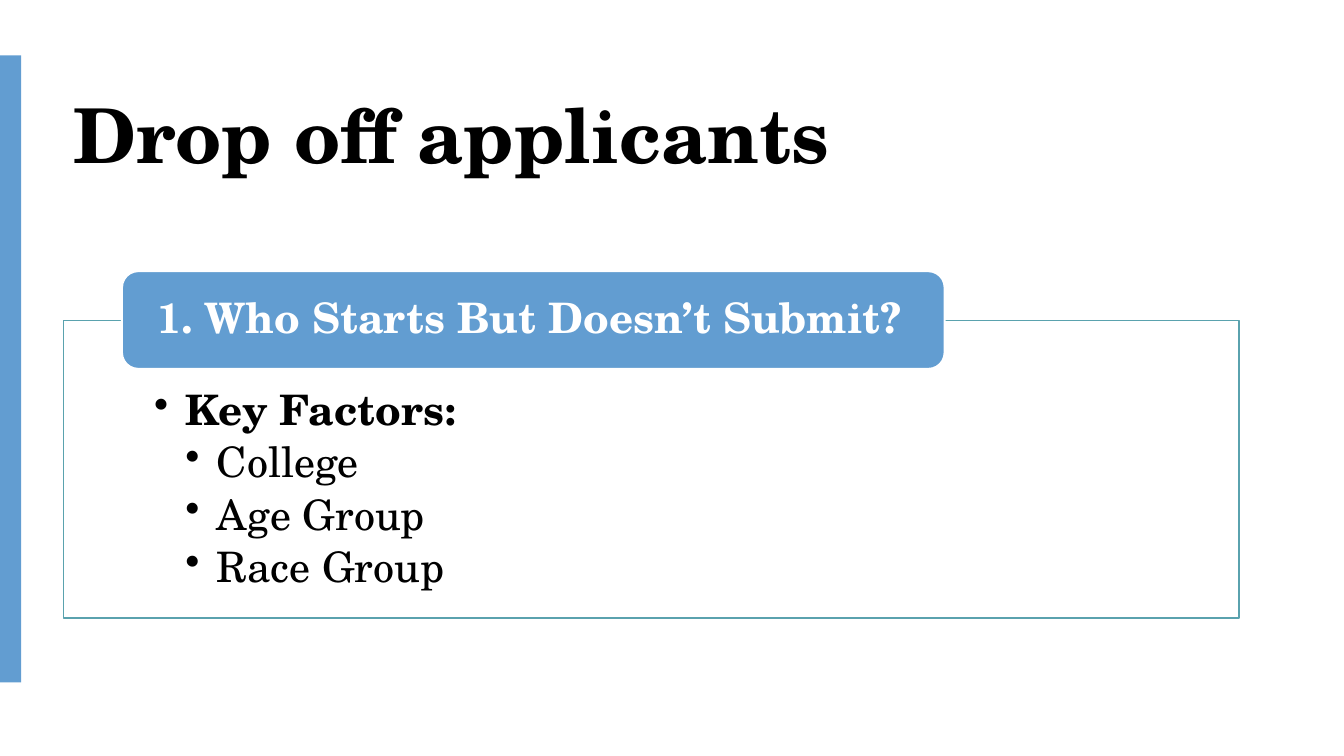
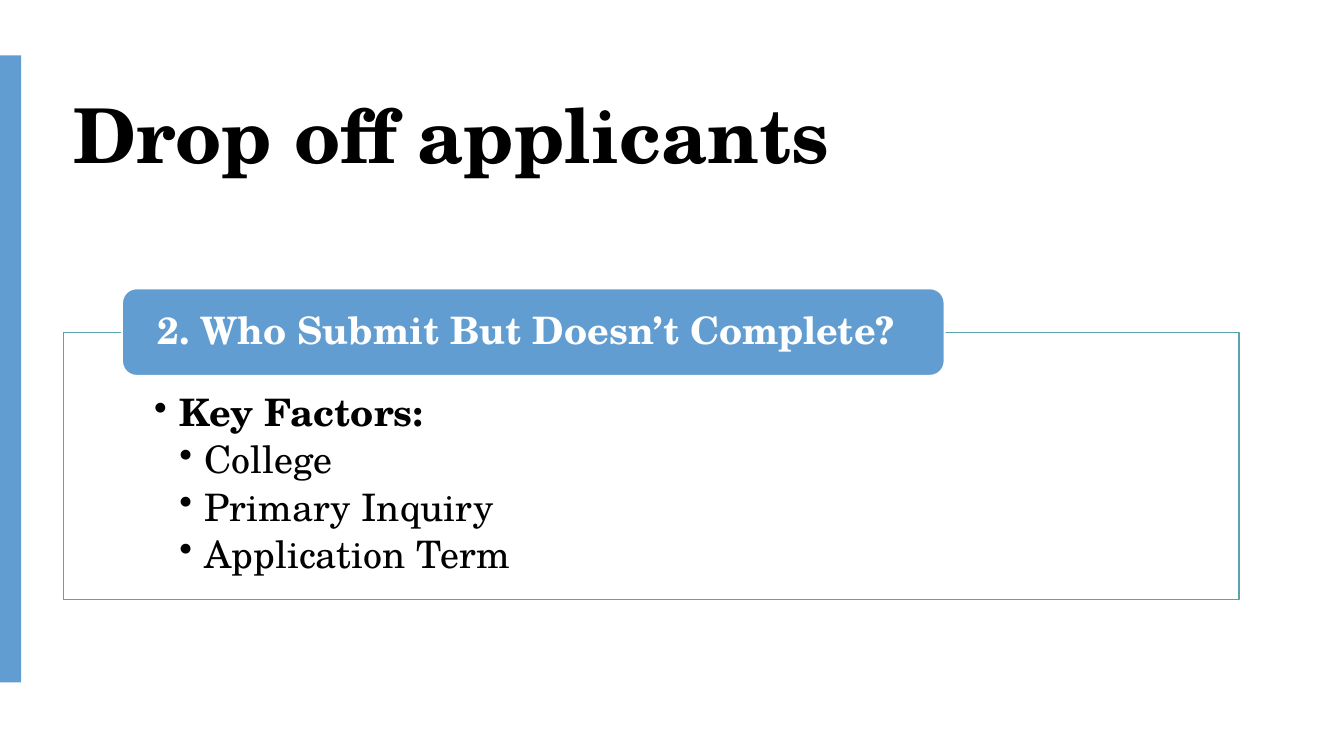
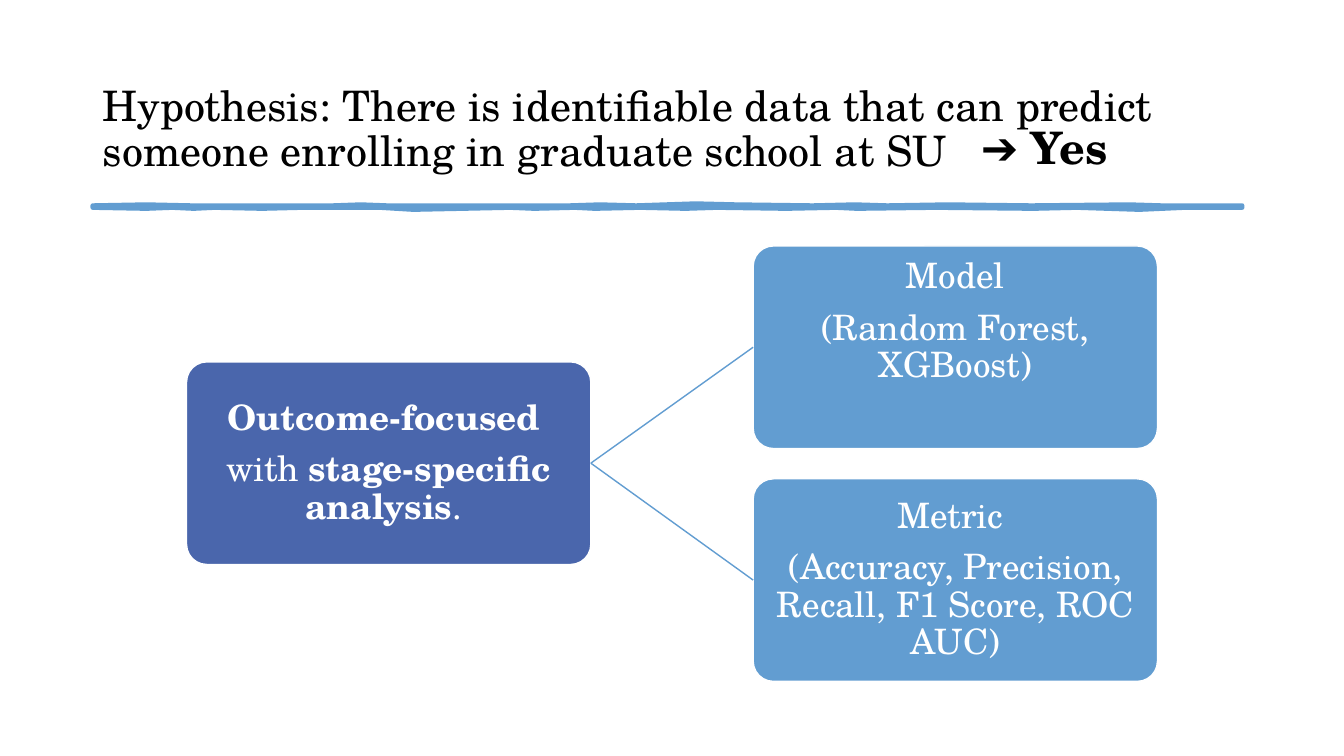
from dataclasses import dataclass

from lxml.etree import SubElement
from pptx import Presentation
from pptx.dml.color import RGBColor as RGB
from pptx.enum.shapes import MSO_CONNECTOR as CONN, MSO_SHAPE as SHAPE
from pptx.enum.text import MSO_ANCHOR as ANCHOR, PP_ALIGN as ALIGN
from pptx.oxml.ns import qn
from pptx.util import Emu, Pt

PX = 9144  # EMU per px, 100 px to the inch


@dataclass(frozen=True)
class Theme:
    font: str = "TeX Gyre Schola"
    black: RGB = RGB(0x00, 0x00, 0x00)
    white: RGB = RGB(0xFF, 0xFF, 0xFF)
    sky: RGB = RGB(0x62, 0x9D, 0xD1)
    indigo: RGB = RGB(0x4A, 0x66, 0xAC)
    teal: RGB = RGB(0x5A, 0xA2, 0xAE)
    title: int = 54
    answer: int = 32
    statement: int = 30
    node: int = 25
    line_spacing: float = 0.9
    gap_factor: float = 1.1  # line height used for proportional gaps


def px(n):
    return Emu(n * PX)


class Deck:
    """Holds the theme and the slide being drawn."""

    def __init__(self, prs, theme):
        self.prs, self.t, self.s = prs, theme, None

    def new_slide(self):
        self.s = self.prs.slides.add_slide(self.prs.slide_layouts[6])

    def paint(self, sp, fill, line=None, width=1):
        sp.shadow.inherit = False
        sp.fill.solid()
        sp.fill.fore_color.rgb = fill
        if line is None:
            sp.line.fill.background()
        else:
            sp.line.color.rgb = line
            sp.line.width = Pt(width)

    def frame(self, sp, insets=(10, 5, 10, 5), anchor=ANCHOR.MIDDLE):
        tf = sp.text_frame
        sides = ("left", "top", "right", "bottom")
        fmt = {f"margin_{side}": px(n) for side, n in zip(sides, insets)}
        fmt |= {"word_wrap": True, "vertical_anchor": anchor}
        for key, value in fmt.items():
            setattr(tf, key, value)
        return tf

    def add_paras(self, tf, paras, size, color, align=ALIGN.LEFT, gap=0, spacing=None):
        """Each paragraph is a list of (text, bold) runs."""
        for i, runs in enumerate(paras):
            p = tf.paragraphs[0] if i == 0 else tf.add_paragraph()
            fmt = {
                "alignment": align,
                "line_spacing": spacing or self.t.line_spacing,
                "space_after": Pt(round(size * gap * self.t.gap_factor, 1)),
            }
            for key, value in fmt.items():
                setattr(p, key, value)
            for text, bold in runs:
                r = p.add_run()
                r.text = text
                fmt = {"name": self.t.font, "size": Pt(size), "bold": bold}
                for key, value in fmt.items():
                    setattr(r.font, key, value)
                r.font.color.rgb = color

    def text(self, box, runs, size, anchor, spacing=None):
        sp = self.s.shapes.add_textbox(*map(px, box))
        tf = self.frame(sp, anchor=anchor)
        self.add_paras(tf, [runs], size, self.t.black, spacing=spacing)

    def shape(self, kind, box, fill, line=None, width=1):
        sp = self.s.shapes.add_shape(kind, *map(px, box))
        self.paint(sp, fill, line, width)
        return sp

    def bullets(self, tf, step):
        """Indent the first paragraph by one step and the rest by two."""
        for i, p in enumerate(tf.paragraphs):
            pPr = p._p.get_or_add_pPr()
            pPr.set("marL", str(px(step * (2 if i else 1))))
            pPr.set("indent", str(-px(step)))
            SubElement(pPr, qn("a:buChar")).set("char", "•")

    def factor_panel(self, top, height, insets, tab, size, step, question, factors):
        t = self.t
        sp = self.shape(SHAPE.RECTANGLE, (63, top, 1166, height), t.white, t.teal)
        tf = self.frame(sp, insets, ANCHOR.TOP)
        paras = [[("Key Factors:", True)]] + [[(name, False)] for name in factors]
        self.add_paras(tf, paras, size, t.black, gap=0.15)
        self.bullets(tf, step)
        tab_top, tab_height = tab
        sp = self.shape(SHAPE.ROUNDED_RECTANGLE, (121, tab_top, 816, tab_height),
                        t.sky, t.white, 1.5)
        tf = self.frame(sp, (31, 0, 31, 0))
        self.add_paras(tf, [[(question, True)]], size, t.white)

    def node(self, left, top, fill, paras, bottom=2):
        t = self.t
        sp = self.shape(SHAPE.ROUNDED_RECTANGLE, (left, top, 401, 201), fill, t.white)
        sp.adjustments[0] = 0.1
        tf = self.frame(sp, (2, 2, 2, bottom))
        self.add_paras(tf, paras, t.node, t.white, ALIGN.CENTER, gap=0.35)
        return sp

    def link(self, start, end):
        cx = self.s.shapes.add_connector(CONN.STRAIGHT, 0, 0, 0, 0)
        cx.begin_connect(start, 3)
        cx.end_connect(end, 1)
        cx.line.color.rgb = self.t.sky
        cx.line.width = Pt(1)
        SubElement(cx._element.spPr, qn("a:effectLst"))

    def brush_stroke(self, upper, lower):
        first, *rest = upper + lower[::-1]
        builder = self.s.shapes.build_freeform(*first, scale=PX)
        builder.add_line_segments(rest, close=True)
        sp = builder.convert_to_shape()
        self.paint(sp, self.t.sky, self.t.sky, 3.25)
        SubElement(sp._element.spPr.find(qn("a:ln")), qn("a:round"))


# Edges of the hand-drawn rule under the hypothesis
UPPER = [(92, 204), (145, 203), (190, 204), (330, 204), (358, 203), (384, 204),
         (565, 204), (595, 203), (631, 204), (690, 202), (730, 203), (806, 204),
         (848, 203), (880, 204), (940, 203), (1023, 204), (1120, 203),
         (1152, 204), (1232, 204)]
LOWER = [(92, 206), (145, 207), (171, 206), (192, 207), (213, 206), (260, 207),
         (300, 206), (377, 206), (410, 208), (506, 206), (530, 207), (570, 206),
         (590, 207), (635, 206), (680, 207), (711, 206), (780, 207), (829, 206),
         (850, 207), (928, 206), (1025, 207), (1068, 206), (1130, 208),
         (1175, 206), (1232, 206)]

# Drop-off slides
PANELS = [
    dict(top=318, height=295, insets=(90, 68, 90, 23), tab=(269, 97), size=30,
         step=31, question="1. Who Starts But Doesn’t Submit?",
         factors=("College", "Age Group", "Race Group")),
    dict(top=330, height=265, insets=(90, 61, 90, 21), tab=(286, 87), size=27,
         step=25, question="2. Who Submit But Doesn’t Complete?",
         factors=("College", "Primary Inquiry", "Application Term")),
]


def main():
    prs = Presentation()
    prs.slide_width, prs.slide_height = px(1333), px(750)
    t = Theme()
    d = Deck(prs, t)

    for panel in PANELS:
        d.new_slide()
        d.shape(SHAPE.RECTANGLE, (0, 55, 21, 622), t.sky)
        d.text((63, 26, 1205, 157), [("Drop off applicants", True)], t.title,
               ANCHOR.BOTTOM)
        d.factor_panel(**panel)

    # Hypothesis slide
    d.new_slide()
    d.text((92, 57, 1150, 145),
           [("Hypothesis: There is identifiable data that can predict someone "
             "enrolling in graduate school at SU", False)],
           t.statement, ANCHOR.MIDDLE)
    d.brush_stroke(UPPER, LOWER)
    outcome = d.node(185, 359, t.indigo, [
        [("Outcome-focused ", True)],
        [("with ", False), ("stage-specific analysis", True), (". ", False)],
    ])
    model = d.node(747, 244, t.sky, [
        [("Model", False)], [("(Random Forest, XGBoost)", False)],
    ], bottom=52)
    metric = d.node(747, 475, t.sky, [
        [("Metric ", False)],
        [("(Accuracy, Precision, Recall, F1 Score, ROC AUC)", False)],
    ])
    for branch in (model, metric):
        d.link(outcome, branch)
    d.text((963, 114, 211, 64), [("➔ ", False), ("Yes", True)], t.answer,
           ANCHOR.TOP, spacing=1.0)

    prs.save("out.pptx")


if __name__ == "__main__":
    main()
